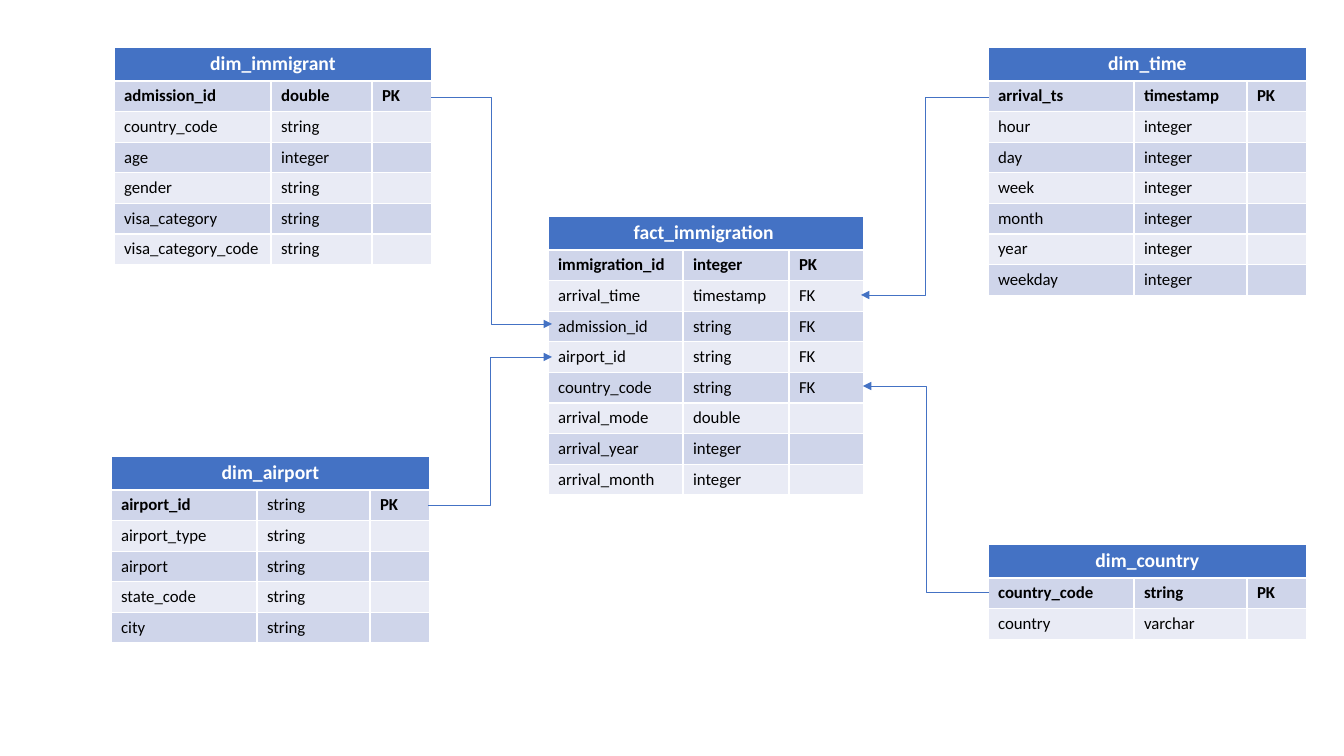
from dataclasses import dataclass

from lxml.etree import SubElement
from pptx import Presentation
from pptx.dml.color import RGBColor
from pptx.enum.shapes import MSO_CONNECTOR
from pptx.enum.text import MSO_ANCHOR, PP_ALIGN
from pptx.oxml.ns import qn
from pptx.util import Pt

SCALE = 12192000 / 1344


@dataclass(frozen=True)
class Theme:
    """Colours, type and line sizes of the diagram."""
    accent: RGBColor = RGBColor(0x44, 0x72, 0xC4)
    dark_band: RGBColor = RGBColor(0xCF, 0xD5, 0xEA)
    light_band: RGBColor = RGBColor(0xE9, 0xEB, 0xF5)
    title_text: RGBColor = RGBColor(0xFF, 0xFF, 0xFF)
    body_text: RGBColor = RGBColor(0x00, 0x00, 0x00)
    font: str = "Calibri"
    title_size: int = 14
    body_size: int = 12
    line_width: float = 0.5


THEME = Theme()
TITLE_HEIGHT = 34
ROW_HEIGHT = 30
WIDE_TYPE = (146, 113, 60)
WIDE_NAME = (157, 101, 60)
FACT = (135, 106, 75)

ENTITIES = [
    ("dim_time", (988, 47), WIDE_TYPE, (0, 1, 2), [
        ("arrival_ts", "timestamp", "PK"),
        ("hour", "integer", ""),
        ("day", "integer", ""),
        ("week", "integer", ""),
        ("month", "integer", ""),
        ("year", "integer", ""),
        ("weekday", "integer", ""),
    ]),
    ("dim_airport", (111, 456), WIDE_TYPE, (0, 2), [
        ("airport_id", "string", "PK"),
        ("airport_type", "string", ""),
        ("airport", "string", ""),
        ("state_code", "string", ""),
        ("city", "string", ""),
    ]),
    ("dim_country", (988, 544), WIDE_TYPE, (0, 1, 2), [
        ("country_code", "string", "PK"),
        ("country", "varchar", ""),
    ]),
    ("dim_immigrant", (114, 47), WIDE_NAME, (0, 1, 2), [
        ("admission_id", "double", "PK"),
        ("country_code", "string", ""),
        ("age", "integer", ""),
        ("gender", "string", ""),
        ("visa_category", "string", ""),
        ("visa_category_code", "string", ""),
    ]),
    ("fact_immigration ", (548, 216), FACT, (0, 1, 2), [
        ("immigration_id", "integer", "PK"),
        ("arrival_time", "timestamp", "FK"),
        ("admission_id", "string", "FK"),
        ("airport_id", "string", "FK"),
        ("country_code", "string", "FK"),
        ("arrival_mode", "double", ""),
        ("arrival_year", "integer", ""),
        ("arrival_month", "integer", ""),
    ]),
]

RELATIONS = [
    ((428, 505), (552, 357)),
    ((989, 97), (861, 295)),
    ((431, 97), (552, 324)),
    ((989, 592), (863, 386)),
]


def px(length):
    """Turn pixels into EMU."""
    return round(length * SCALE)


def style_cell(cell, text, fill, size, color, bold):
    """Fill one cell and write its text."""
    cell.fill.solid()
    cell.fill.fore_color.rgb = fill
    para = cell.text_frame.paragraphs[0]
    para.font.name = THEME.font
    para.font.size = Pt(size)
    para.font.bold = bold
    para.font.color.rgb = color
    if text:
        para.add_run().text = text
    else:
        SubElement(para._p, qn("a:endParaRPr"), sz=str(size * 100))
    return para


def add_entity(page, title, corner, widths, bold_columns, fields):
    """Place one entity table with its title row and fields."""
    left, top = corner
    height = TITLE_HEIGHT + ROW_HEIGHT * len(fields)
    frame = page.shapes.add_table(len(fields) + 1, len(widths), px(left), px(top),
                                  px(sum(widths)), px(height))
    table = frame.table
    for column, width in zip(table.columns, widths):
        column.width = px(width)
    for index, row in enumerate(table.rows):
        row.height = px(ROW_HEIGHT if index else TITLE_HEIGHT)

    for index, text in enumerate((title, "", "")):
        para = style_cell(table.cell(0, index), text, THEME.accent,
                          THEME.title_size, THEME.title_text, True)
        para.alignment = PP_ALIGN.CENTER
    table.cell(0, 0).vertical_anchor = MSO_ANCHOR.MIDDLE
    table.cell(0, 0).merge(table.cell(0, len(widths) - 1))

    for row, field in enumerate(fields, start=1):
        band = THEME.dark_band if row % 2 else THEME.light_band
        for column, text in enumerate(field):
            bold = row == 1 and column in bold_columns
            style_cell(table.cell(row, column), text, band,
                       THEME.body_size, THEME.body_text, bold)


def add_relation(page, start, end):
    """Draw one elbow arrow from a primary key to its foreign key."""
    arrow = page.shapes.add_connector(MSO_CONNECTOR.ELBOW, *map(px, start + end))
    arrow.line.color.rgb = THEME.accent
    arrow.line.width = Pt(THEME.line_width)
    SubElement(arrow.line._get_or_add_ln(), qn("a:tailEnd"), type="triangle")
    SubElement(arrow._element.spPr, qn("a:effectLst"))


def main():
    """Build the star schema slide."""
    deck = Presentation()
    deck.slide_width, deck.slide_height = px(1344), px(756)
    page = deck.slides.add_slide(deck.slide_layouts[6])
    for entity in ENTITIES:
        add_entity(page, *entity)
    for start, end in RELATIONS:
        add_relation(page, start, end)
    deck.save("out.pptx")


if __name__ == "__main__":
    main()
